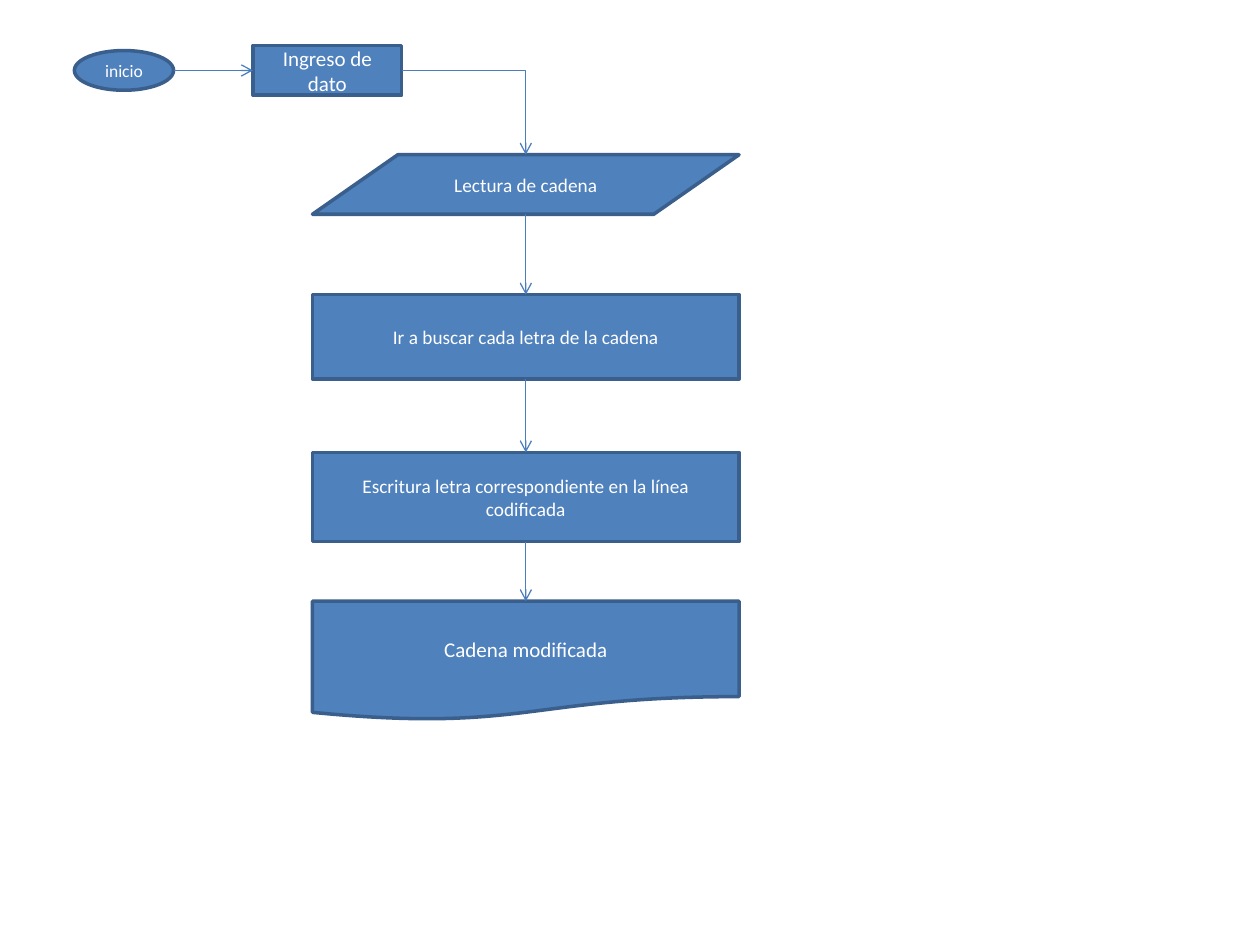
from pptx import Presentation, util as u
from pptx.dml.color import RGBColor
from pptx.enum import shapes as sh, text as tx
from pptx.oxml.ns import qn
from lxml import etree

HUES = {"fill": "4F81BD", "edge": "3A5F8C", "link": "4B7EBC", "text": "FFFFFF"}
KIND = sh.MSO_SHAPE
WIRE = sh.MSO_CONNECTOR


def hue(name):
    """Return the named colour."""
    return RGBColor.from_string(HUES[name])


def style(item, vals):
    """Set each attribute of item from a dict."""
    for key, val in vals.items():
        setattr(item, key, val)


def node(slide, kind, box, label, size):
    """Draw one labelled step in a box given in centimetres."""
    step = slide.shapes.add_shape(kind, *map(u.Cm, box))
    step.shadow.inherit = False
    step.fill.solid()
    step.fill.fore_color.rgb = hue("fill")
    step.line.color.rgb = hue("edge")
    step.line.width = u.Pt(2)
    frame = step.text_frame
    style(frame, {"word_wrap": True, "vertical_anchor": tx.MSO_ANCHOR.MIDDLE})
    par = frame.paragraphs[0]
    style(par, {"text": label, "alignment": tx.PP_ALIGN.CENTER})
    style(par.runs[0].font, {"name": "Calibri", "size": u.Pt(size)})
    par.runs[0].font.color.rgb = hue("text")
    return step


def arrow(slide, start, end, bent=False):
    """Join two points with an arrow, turning one corner if bent."""
    kind = WIRE.ELBOW if bent else WIRE.STRAIGHT
    link = slide.shapes.add_connector(kind, *start, *end)
    link.line.color.rgb = hue("link")
    link.line.width = u.Pt(0.75)
    props = link._element.spPr
    if bent:
        props.find(qn("a:prstGeom")).set("prst", "bentConnector2")
    etree.SubElement(props.find(qn("a:ln")), qn("a:tailEnd"), type="arrow")
    etree.SubElement(props, qn("a:effectLst"))


def side(step, across, down):
    """Return the point at the given fractions of a step's box."""
    return (int(step.left + step.width * across),
            int(step.top + step.height * down))


def entry(slide, left, mid):
    """Draw the opening row around a middle height and return its last step."""
    first = node(slide, KIND.OVAL, (left, mid - 0.4, 2, 0.8), "inicio", 10)
    last = node(slide, KIND.RECTANGLE, (left + 3.6, mid - 0.5, 3, 1),
                "Ingreso de dato", 12)
    arrow(slide, side(first, 1, 0.5), side(last, 0, 0.5))
    return last


def column(slide, left, top, wide):
    """Draw the column of steps with its arrows and return the first step."""
    rows = [
        (KIND.FLOWCHART_DATA, 0, 1.2, "Lectura de cadena", 11),
        (KIND.FLOWCHART_PROCESS, 2.82, 1.7,
         "Ir a buscar cada letra de la cadena", 11),
        (KIND.FLOWCHART_PROCESS, 6, 1.8,
         "Escritura letra correspondiente en la línea codificada", 11),
        (KIND.FLOWCHART_DOCUMENT, 9, 2.4, "Cadena modificada", 12),
    ]
    steps = [node(slide, kind, (left, top + down, wide, high), label, size)
             for kind, down, high, label, size in rows]
    for prev, step in zip(steps, steps[1:]):
        arrow(slide, side(prev, 0.5, 1), side(step, 0.5, 0))
    return steps[0]


def main():
    """Build and save the flowchart slide."""
    deck = Presentation()
    style(deck, {"slide_width": u.Cm(25.4), "slide_height": u.Cm(19.05)})
    slide = deck.slides.add_slide(deck.slide_layouts[6])
    data = entry(slide, 1.5, 1.42)
    read = column(slide, 6.3, 3.12, 8.6)
    arrow(slide, side(data, 1, 0.5), side(read, 0.5, 0), bent=True)
    deck.save("out.pptx")


main()
